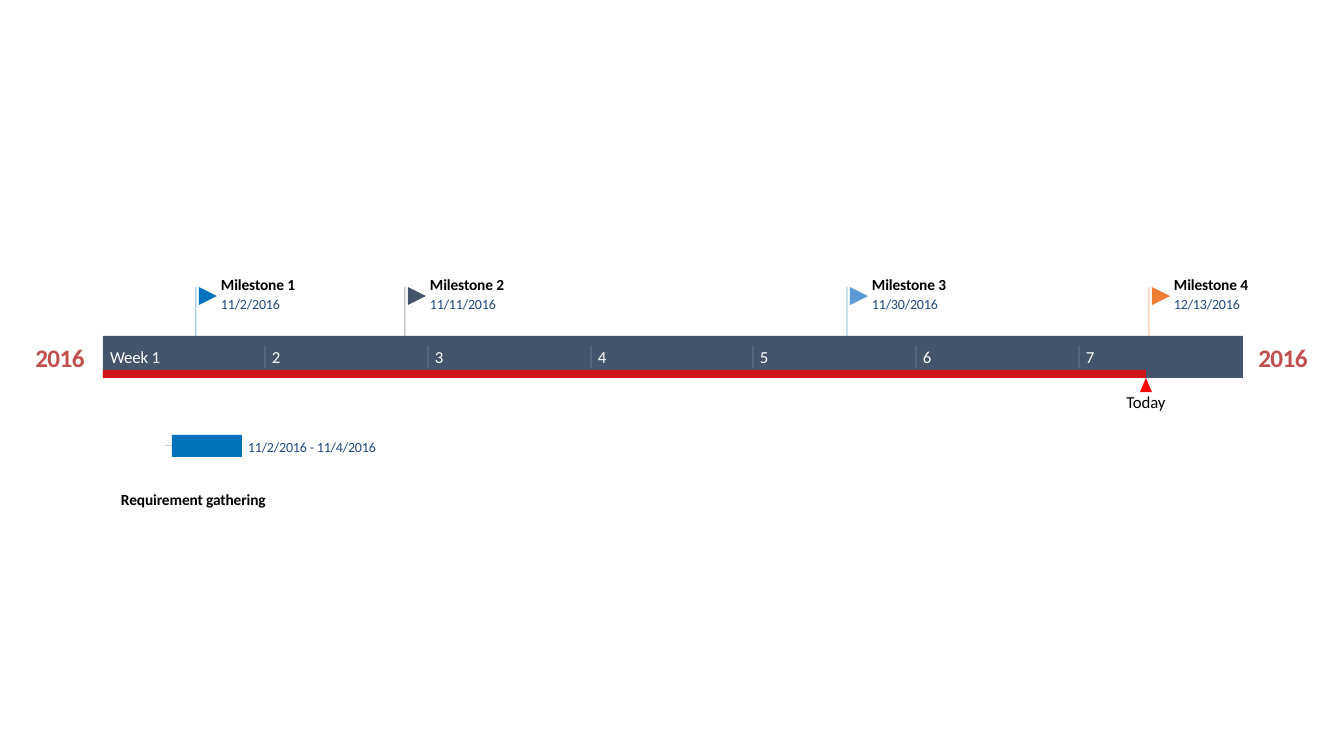
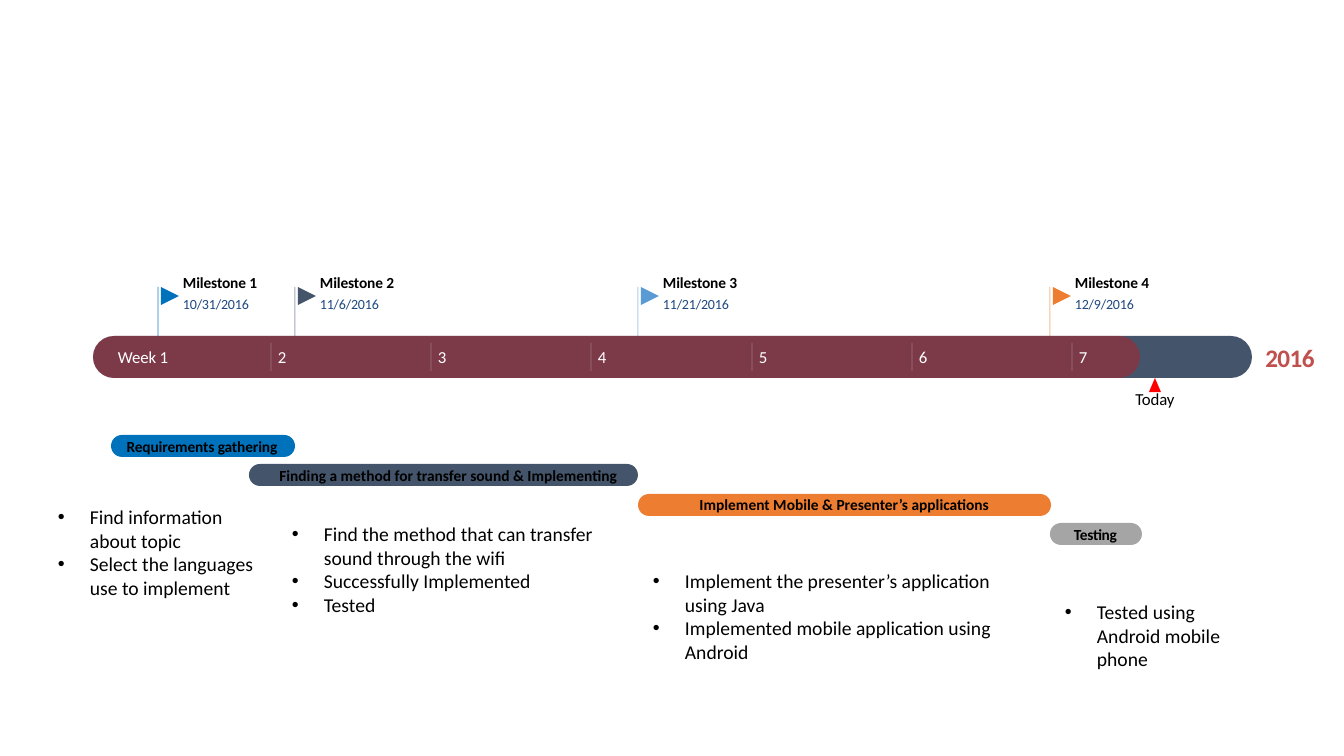
"""Build two slides with a weekly project timeline."""
from dataclasses import dataclass

from lxml import etree
from pptx import Presentation
from pptx.dml.color import RGBColor
from pptx.enum.shapes import MSO_CONNECTOR, MSO_SHAPE
from pptx.enum.text import MSO_ANCHOR, MSO_AUTO_SIZE, PP_ALIGN
from pptx.oxml.ns import qn
from pptx.util import Emu, Pt

RECTANGLE = MSO_SHAPE.RECTANGLE
ROUNDED = MSO_SHAPE.ROUNDED_RECTANGLE
TRIANGLE = MSO_SHAPE.ISOSCELES_TRIANGLE
FLAG = MSO_SHAPE.FLOWCHART_MERGE
STRAIGHT = MSO_CONNECTOR.STRAIGHT
MIDDLE = MSO_ANCHOR.MIDDLE
GROW = MSO_AUTO_SIZE.SHAPE_TO_FIT_TEXT
LEFT, CENTER = PP_ALIGN.LEFT, PP_ALIGN.CENTER

EMU_PER_PIXEL = 914400 / 100.8
FONT = "Calibri"
BLUE, SLATE, SKY, ORANGE = "0072BC", "44546A", "5B9BD5", "ED7D31"
GRAY, PALE, RED, YEAR_RED = "A5A5A5", "CCCCCC", "FF0000", "C0504D"
BLACK, WHITE, DATE_BLUE = "000000", "FFFFFF", "1F497E"
FLAG_COLORS = (BLUE, SLATE, SKY, ORANGE)
BAND_TOP, BAND_HEIGHT = 336, 42
BAND_BOTTOM = BAND_TOP + BAND_HEIGHT
POLE_TOP, BAR_HEIGHT, WEEKS, HANGING = 287, 22, 7, 32


@dataclass(frozen=True)
class TextStyle:
    """Look of a line of text."""
    size: int
    color: str
    bold: bool = False
    spacing: float = 0
    align: PP_ALIGN = LEFT


@dataclass(frozen=True)
class Area:
    """Place and size in pixels."""
    left: int
    top: int
    width: int
    height: int


@dataclass(frozen=True)
class Milestone:
    """Flag on the timeline."""
    pole: int
    date: str


@dataclass(frozen=True)
class Timeline:
    """Band with its weeks, flags and marker for today."""
    outline: MSO_SHAPE
    band: Area
    elapsed: Area
    opacity: int
    years: tuple[int, ...]
    first_label: int
    first_tick: int
    last_tick: int
    tick_inset: int
    marker: int
    today_top: int
    name_top: int
    milestones: tuple[Milestone, ...]


@dataclass(frozen=True)
class Task:
    """Named bar with the bullets that belong to it."""
    name: str
    bar: Area
    color: str
    label_left: int
    label_width: int
    label_inset: int
    spacing: float
    list_area: Area
    bullets: tuple[str, ...]


YEAR = TextStyle(18, YEAR_RED, True, -0.4, CENTER)
TODAY = TextStyle(12, BLACK, False, -0.1, CENTER)
WEEK_ONE = TextStyle(12, WHITE, False, -0.1)
WEEK = TextStyle(12, WHITE, False, -0.3)
NAME = TextStyle(11, BLACK, True, -0.1)
DATE = TextStyle(10, DATE_BLUE, False, -0.1)
BULLET = TextStyle(14, BLACK)

FIRST_TIMELINE = Timeline(
    RECTANGLE, Area(103, BAND_TOP, 1140, BAND_HEIGHT), Area(103, 370, 1043, 8), 75,
    (33, 1256), 110, 265, 1079, 10, 1140, 392, 275,
    (Milestone(196, "11/2/2016"), Milestone(405, "11/11/2016"),
     Milestone(847, "11/30/2016"), Milestone(1149, "12/13/2016")))

SECOND_TIMELINE = Timeline(
    ROUNDED, Area(93, BAND_TOP, 1159, BAND_HEIGHT),
    Area(93, BAND_TOP, 1047, BAND_HEIGHT), 30,
    (1263,), 118, 271, 1072, 7, 1149, 389, 273,
    (Milestone(158, "10/31/2016"), Milestone(295, "11/6/2016"),
     Milestone(638, "11/21/2016"), Milestone(1050, "12/9/2016")))

TASKS = (
    Task("Requirements gathering", Area(111, 435, 184, BAR_HEIGHT), BLUE,
         122, 160, 2, -0.1, Area(48, 500, 222, 105),
         ("Find information about topic", "Select the languages use to implement")),
    Task("Finding a method for transfer sound & Implementing",
         Area(249, 464, 389, BAR_HEIGHT), SLATE,
         278, 341, 2, 0, Area(282, 517, 334, 105),
         ("Find the method that can transfer sound through the wifi",
          "Successfully Implemented", "Tested")),
    Task("Implement Mobile & Presenter’s applications",
         Area(638, 494, 413, BAR_HEIGHT), ORANGE,
         676, 337, 1, 0, Area(643, 564, 386, 105),
         ("Implement the presenter’s application using Java",
          "Implemented mobile application using Android")),
    Task("Testing", Area(1050, 523, 92, BAR_HEIGHT), GRAY,
         1071, 49, 2, -0.2, Area(1055, 595, 179, 82),
         ("Tested using Android mobile phone",)),
)


def px(value: float) -> Emu:
    """Turn pixels into EMU."""
    return Emu(round(value * EMU_PER_PIXEL))


def rgb(color: str) -> RGBColor:
    """Turn a hex string into a colour."""
    return RGBColor.from_string(color)


def set_opacity(element, percent: int) -> None:
    """Make the colour of a fill or line see-through."""
    color = element.find(".//" + qn("a:srgbClr"))
    etree.SubElement(color, qn("a:alpha")).set("val", str(percent * 1000))


def add_line(page, start: tuple[float, float], end: tuple[float, float],
             color: str, width: float, opacity: int = 100) -> None:
    """Draw a thin straight line."""
    line = page.shapes.add_connector(STRAIGHT, *map(px, start + end))
    line.line.color.rgb = rgb(color)
    line.line.width = Pt(width)
    properties = line._element.spPr
    if opacity < 100:
        set_opacity(properties, opacity)
    etree.SubElement(properties, qn("a:effectLst"))


def add_block(page, outline: MSO_SHAPE, area: Area, color: str,
              opacity: int = 100, rotation: int = 0) -> None:
    """Draw a filled shape without a line."""
    block = page.shapes.add_shape(outline, px(area.left), px(area.top),
                                  px(area.width), px(area.height))
    block.shadow.inherit = False
    block.fill.solid()
    block.fill.fore_color.rgb = rgb(color)
    block.line.fill.background()
    block.rotation = rotation
    if outline == ROUNDED:
        block.adjustments[0] = 1
    if opacity < 100:
        set_opacity(block._element.spPr, opacity)


def format_para(para, style: TextStyle) -> None:
    """Apply a text style to a paragraph."""
    para.alignment = style.align
    for span in para.runs:
        span.font.name = FONT
        span.font.size = Pt(style.size)
        span.font.bold = style.bold
        span.font.color.rgb = rgb(style.color)
        if style.spacing:
            span._r.get_or_add_rPr().set("spc", str(round(style.spacing * 100)))


def add_box(page, area: Area):
    """Add an empty wrapping text box and return its frame."""
    box = page.shapes.add_textbox(px(area.left), px(area.top),
                                  px(area.width), px(area.height))
    box.text_frame.word_wrap = True
    return box.text_frame


def add_label(page, text: str, area: Area, style: TextStyle) -> None:
    """Write one line of text without margins."""
    frame = add_box(page, area)
    frame.margin_left = frame.margin_right = 0
    frame.margin_top = frame.margin_bottom = 0
    frame.vertical_anchor = MIDDLE
    frame.text = text
    format_para(frame.paragraphs[0], style)


def add_bullets(page, area: Area, bullets: tuple[str, ...]) -> None:
    """Write a bulleted list."""
    frame = add_box(page, area)
    frame.auto_size = GROW
    frame.text = "\n".join(bullets)
    for para in frame.paragraphs:
        format_para(para, BULLET)
        properties = para._p.get_or_add_pPr()
        properties.set("marL", str(px(HANGING)))
        properties.set("indent", str(-px(HANGING)))
        etree.SubElement(properties, qn("a:buFont")).set("typeface", "Arial")
        etree.SubElement(properties, qn("a:buChar")).set("char", "•")


def add_weeks(page, timeline: Timeline) -> None:
    """Number the weeks and divide them with ticks."""
    add_label(page, "Week 1", Area(timeline.first_label, 347, 56, 20), WEEK_ONE)
    pitch = (timeline.last_tick - timeline.first_tick) / (WEEKS - 2)
    for week in range(2, WEEKS + 1):
        tick = round(timeline.first_tick + (week - 2) * pitch)
        add_line(page, (tick, BAND_TOP + timeline.tick_inset),
                 (tick, BAND_BOTTOM - timeline.tick_inset), WHITE, 0.5, 30)
        add_label(page, str(week), Area(tick + 7, 347, 12, 20), WEEK)


def add_timeline(page, timeline: Timeline) -> None:
    """Draw the band with everything attached to it."""
    flags = list(zip(timeline.milestones, FLAG_COLORS))
    for milestone, color in flags:
        add_line(page, (milestone.pole, POLE_TOP), (milestone.pole, BAND_TOP),
                 color, 0.75, 50)
    for left in timeline.years:
        add_label(page, "2016", Area(left, 342, 54, 31), YEAR)
    add_block(page, timeline.outline, timeline.band, SLATE)
    add_block(page, timeline.outline, timeline.elapsed, RED, timeline.opacity)
    add_block(page, TRIANGLE, Area(timeline.marker, BAND_BOTTOM, 12, 14), RED)
    add_label(page, "Today", Area(timeline.marker - 17, timeline.today_top, 46, 20), TODAY)
    add_weeks(page, timeline)
    for number, (milestone, color) in enumerate(flags, 1):
        left = milestone.pole + 25
        add_label(page, f"Milestone {number}", Area(left, timeline.name_top, 77, 19), NAME)
        add_label(page, milestone.date, Area(left, 295, 70, 17), DATE)
        add_block(page, FLAG, Area(milestone.pole + 3, POLE_TOP, 18, 18), color, rotation=270)


def add_task(page, task: Task) -> None:
    """Draw a task bar with its name."""
    add_block(page, ROUNDED, task.bar, task.color)
    area = Area(task.label_left, task.bar.top + task.label_inset, task.label_width, 19)
    add_label(page, task.name, area, TextStyle(11, BLACK, True, task.spacing, CENTER))


def build_first_page(page) -> None:
    """Draw the timeline with a single task."""
    add_line(page, (165, 446), (172, 446), PALE, 0.75)
    add_timeline(page, FIRST_TIMELINE)
    add_block(page, RECTANGLE, Area(172, 435, 70, BAR_HEIGHT), BLUE)
    add_label(page, "11/2/2016 - 11/4/2016", Area(248, 438, 135, 17), DATE)
    add_label(page, "Requirement gathering", Area(121, 490, 151, 19), NAME)


def build_second_page(page) -> None:
    """Draw the timeline with all tasks and their bullets."""
    add_timeline(page, SECOND_TIMELINE)
    for task in TASKS:
        add_task(page, task)
    for task in TASKS:
        add_bullets(page, task.list_area, task.bullets)


def main() -> None:
    """Build and save the deck."""
    deck = Presentation()
    deck.slide_width, deck.slide_height = px(1344), px(756)
    blank = deck.slide_layouts[6]
    for build in (build_first_page, build_second_page):
        build(deck.slides.add_slide(blank))
    deck.save("out.pptx")


main()
